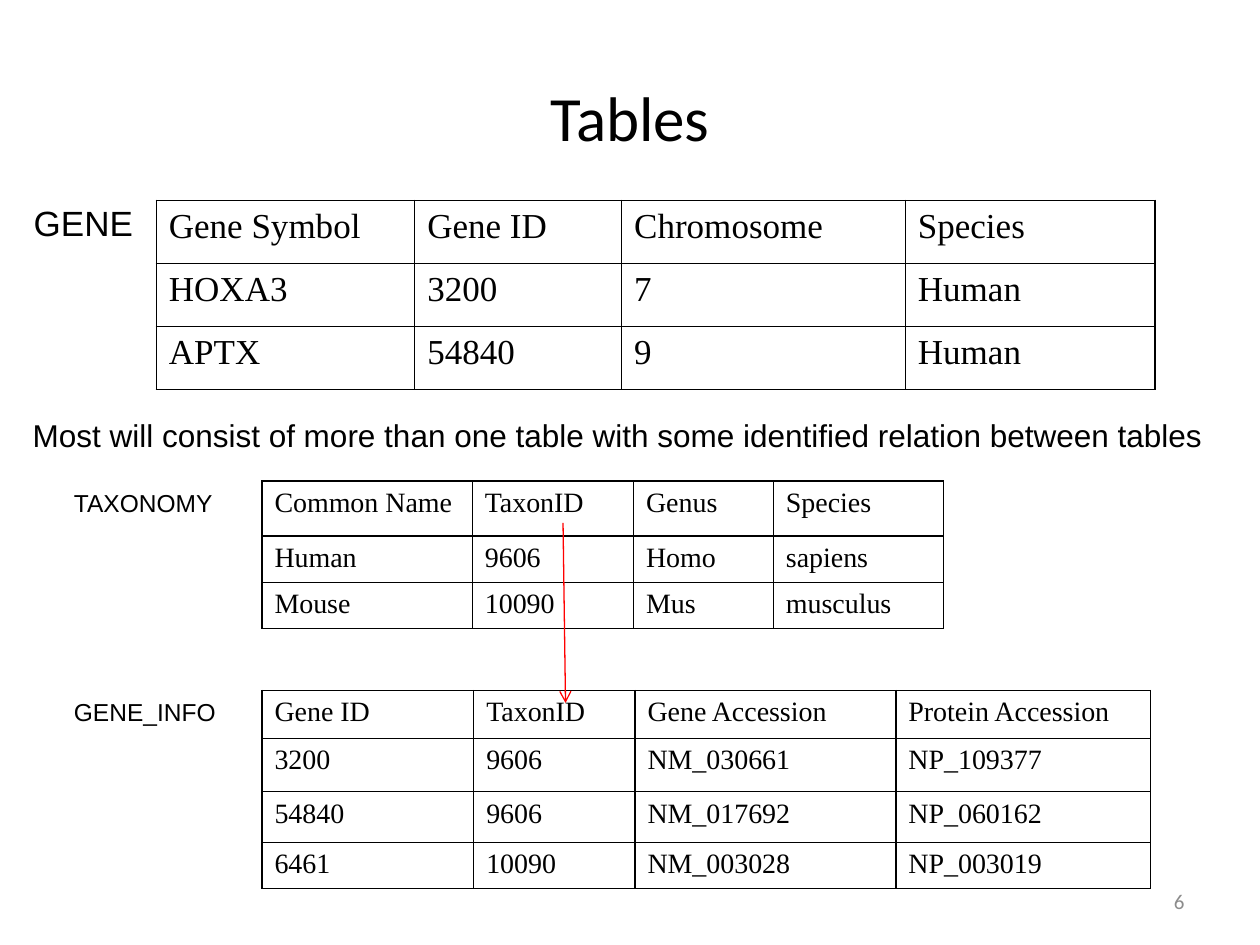
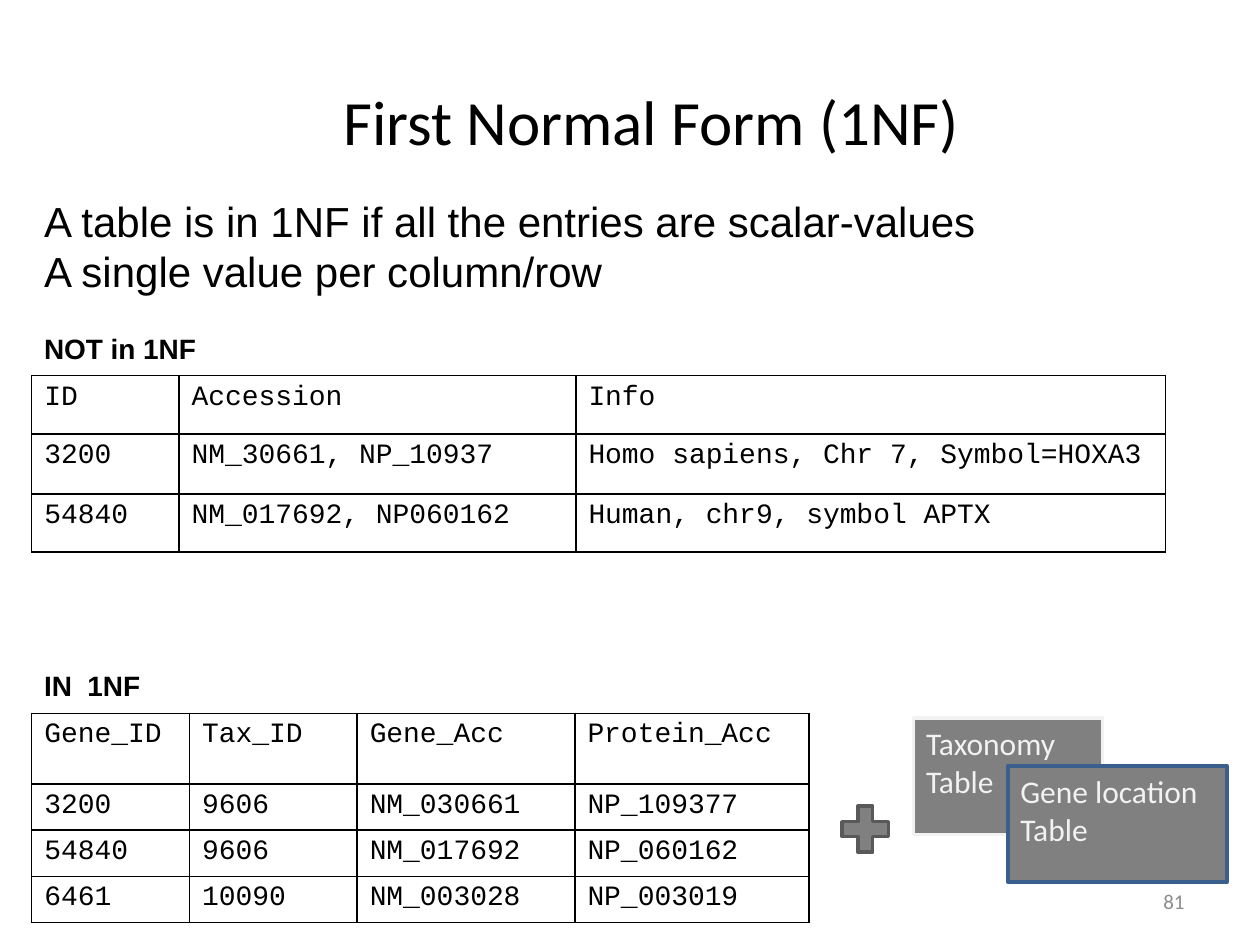
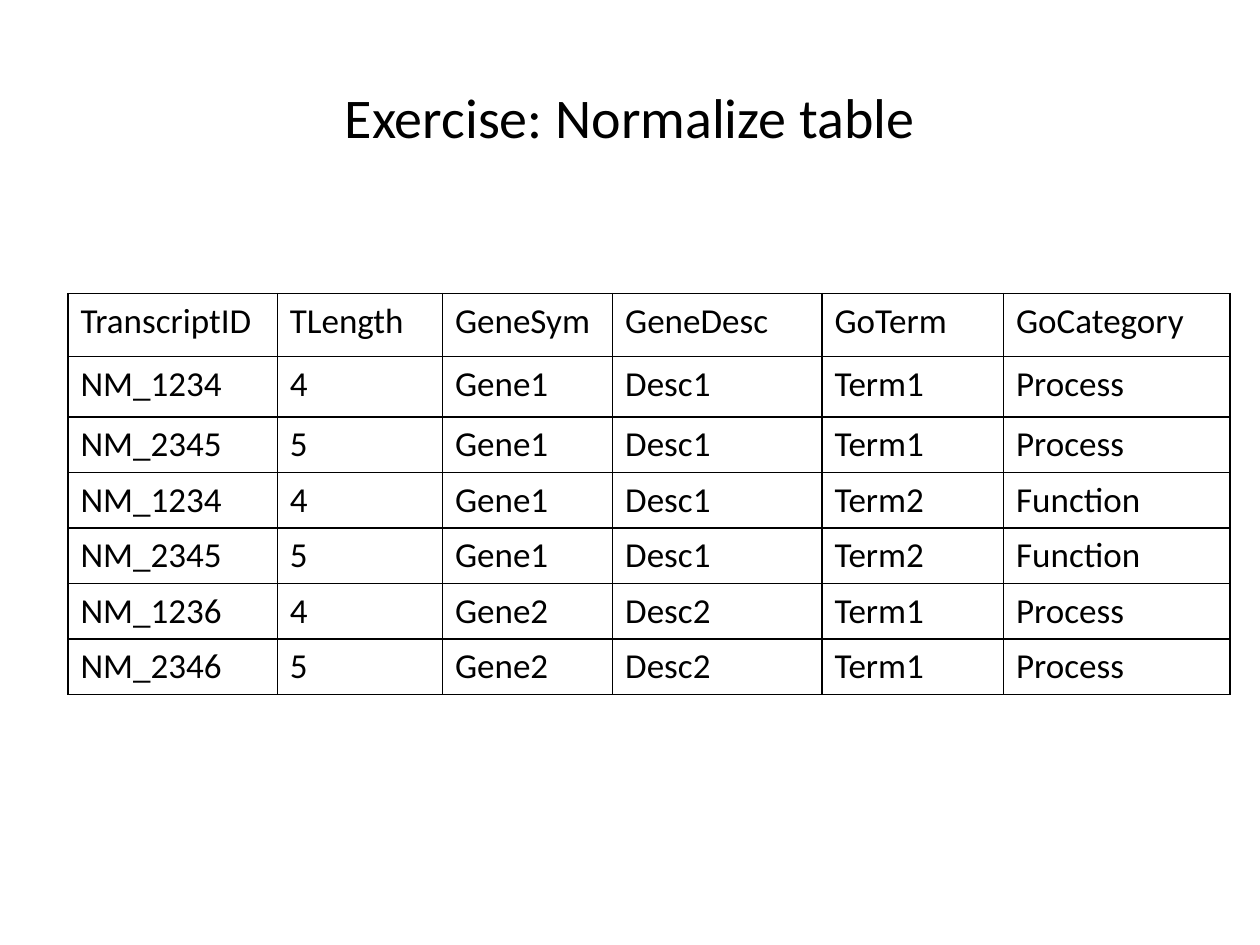
import pptx
import pptx.dml.color
import pptx.enum.shapes
import pptx.enum.text
import pptx.oxml
import pptx.oxml.ns
import pptx.util
from pptx.util import Cm

SHAPE = pptx.enum.shapes.MSO_SHAPE
ALIGN = pptx.enum.text.PP_ALIGN
ANCHOR = pptx.enum.text.MSO_ANCHOR

COLORS = {
    "black": "000000",
    "number": "8C8C8C",
    "arrow": "FF0000",
    "card": "808080",
    "pale": "F2F2F2",
    "blue": "3A5F8C",
    "dark": "595959",
}

GENE_ROWS = [
    ("3200", "9606", "NM_030661", "NP_109377"),
    ("54840", "9606", "NM_017692", "NP_060162"),
    ("6461", "10090", "NM_003028", "NP_003019"),
]

# All places and sizes are in centimetres: left, top, width, height.
TITLE_SIZE = (22.86, 3.18)
NUMBER_PLACE = (18.21, 17.65, 5.92, 1.02)

SLIDES = [
    {
        "title": ("Tables", 36, (1.27, 0.76)),
        "number": "6",
        "labels": [
            {"lines": ["GENE"], "place": (0.43, 3.94, 2.51, 1.09), "size": 20},
            {"lines": ["Most will consist of more than one table with some identified "
                       "relation between tables"],
             "place": (0.41, 8.26, 24.1, 1.02), "size": 18, "wrap": True},
            {"lines": ["TAXONOMY"], "place": (1.24, 9.7, 3.33, 0.86), "size": 14},
            {"lines": ["GENE_INFO"], "place": (1.24, 13.92, 3.4, 0.86), "size": 14},
        ],
        "tables": [
            {"corner": (3.15, 4.04), "font": ("Times New Roman", 20),
             "widths": [5.21, 4.17, 5.72, 5.03], "heights": [1.27] * 3,
             "rows": [("Gene Symbol", "Gene ID", "Chromosome", "Species"),
                      ("HOXA3", "3200", "7", "Human"),
                      ("APTX", "54840", "9", "Human")]},
            {"corner": (5.28, 9.7), "font": ("Times New Roman", 16),
             "widths": [4.24, 3.25, 2.82, 3.43], "heights": [1.11, 0.93, 0.93],
             "rows": [("Common Name", "TaxonID", "Genus", "Species"),
                      ("Human", "9606", "Homo", "sapiens"),
                      ("Mouse", "10090", "Mus", "musculus")]},
            {"corner": (5.28, 13.92), "font": ("Times New Roman", 16),
             "widths": [4.27, 3.25, 5.26, 5.13], "heights": [0.97, 1.07, 1.02, 0.93],
             "rows": [("Gene ID", "TaxonID", "Gene Accession", "Protein Accession"),
                      *GENE_ROWS]},
        ],
        "arrows": [(11.35, 10.54, 11.4, 14.17)],
    },
    {
        "title": ("First Normal Form (1NF)", 36, (1.7, 0.84)),
        "number": "81",
        "labels": [
            {"lines": ["NOT in 1NF"], "place": (0.64, 6.55, 3.58, 0.94),
             "size": 16, "bold": True},
            {"lines": ["IN  1NF"], "place": (0.64, 13.34, 2.46, 0.94),
             "size": 16, "bold": True},
            {"lines": ["A table is in 1NF if all the entries are scalar-values",
                       "A single value per column/row"],
             "place": (0.64, 3.81, 23.93, 2.31), "size": 24, "wrap": True,
             "anchor": ANCHOR.TOP},
        ],
        "tables": [
            {"corner": (0.64, 7.57), "font": ("Courier New", 16),
             "widths": [2.97, 8, 11.89], "heights": [1.18, 1.21, 1.17],
             "rows": [("ID", "Accession", "Info"),
                      ("3200", "NM_30661, NP_10937", "Homo sapiens, Chr 7, Symbol=HOXA3"),
                      ("54840", "NM_017692, NP060162", "Human, chr9, symbol APTX")]},
            {"corner": (0.64, 14.38), "font": ("Courier New", 16),
             "widths": [3.18, 3.38, 4.39, 4.72], "heights": [1.42] + [0.93] * 3,
             "rows": [("Gene_ID", "Tax_ID", "Gene_Acc", "Protein_Acc"), *GENE_ROWS]},
        ],
        "shapes": [
            (SHAPE.RECTANGLE, (18.42, 14.48, 3.81, 2.34), "pale", "Taxonomy Table"),
            (SHAPE.RECTANGLE, (20.32, 15.44, 4.42, 2.34), "blue", "Gene location Table"),
            (SHAPE.MATH_PLUS, (16.81, 16.08, 1.27, 1.27), "dark", ""),
        ],
    },
    {
        "title": ("Exercise: Normalize table", 32, (1.27, 0.76)),
        "tables": [
            {"corner": (1.37, 5.92), "font": ("Calibri", 20),
             "widths": [4.22, 3.33, 3.43, 4.22, 3.66, 4.57],
             "heights": [1.27, 1.22] + [1.1] * 5,
             "rows": [
                 ("TranscriptID", "TLength", "GeneSym", "GeneDesc", "GoTerm", "GoCategory"),
                 ("NM_1234", "4", "Gene1", "Desc1", "Term1", "Process"),
                 ("NM_2345", "5", "Gene1", "Desc1", "Term1", "Process"),
                 ("NM_1234", "4", "Gene1", "Desc1", "Term2", "Function"),
                 ("NM_2345", "5", "Gene1", "Desc1", "Term2", "Function"),
                 ("NM_1236", "4", "Gene2", "Desc2", "Term1", "Process"),
                 ("NM_2346", "5", "Gene2", "Desc2", "Term1", "Process"),
             ]},
        ],
    },
]


def lengths(numbers):
    return [Cm(number) for number in numbers]


def rgb(name):
    return pptx.dml.color.RGBColor.from_string(COLORS[name])


def fill_text(frame, lines, size, font="Arial", color="black", bold=False, align=ALIGN.LEFT):
    for index, line in enumerate(lines):
        para = frame.add_paragraph() if index else frame.paragraphs[0]
        para.text = line
        para.alignment = align
        para.font.name = font
        para.font.size = pptx.util.Pt(size)
        para.font.bold = bold
        para.font.color.rgb = rgb(color)


def add_text(page, lines, place, size, wrap=False, anchor=ANCHOR.MIDDLE, **style):
    frame = page.shapes.add_textbox(*lengths(place)).text_frame
    frame.word_wrap = wrap
    frame.vertical_anchor = anchor
    fill_text(frame, lines, size, **style)


def add_borders(cell):
    properties = cell._tc.get_or_add_tcPr()
    for side in ("lnL", "lnR", "lnT", "lnB"):
        properties.append(pptx.oxml.parse_xml(
            f'<a:{side} {pptx.oxml.ns.nsdecls("a")} w="12700"><a:solidFill>'
            f'<a:srgbClr val="{COLORS["black"]}"/></a:solidFill></a:{side}>'))


def add_grid(page, corner, font, widths, heights, rows):
    size = (sum(widths), sum(heights))
    table = page.shapes.add_table(len(rows), len(widths), *lengths(corner + size)).table
    table.first_row = table.horz_banding = False
    for column, width in zip(table.columns, widths):
        column.width = Cm(width)
    for row, height, values in zip(table.rows, heights, rows):
        row.height = Cm(height)
        for cell, value in zip(row.cells, values):
            add_borders(cell)
            cell.fill.background()
            fill_text(cell.text_frame, [value], font[1], font[0])


def add_arrow(page, ends):
    arrow = page.shapes.add_connector(
        pptx.enum.shapes.MSO_CONNECTOR.STRAIGHT, *lengths(ends))
    arrow.line.color.rgb = rgb("arrow")
    arrow.line.width = pptx.util.Pt(0.75)
    namespace = pptx.oxml.ns.nsdecls("a")
    arrow.line._get_or_add_ln().append(
        pptx.oxml.parse_xml(f'<a:tailEnd {namespace} type="arrow"/>'))
    arrow._element.spPr.append(pptx.oxml.parse_xml(f"<a:effectLst {namespace}/>"))


def add_card(page, kind, place, outline, text):
    card = page.shapes.add_shape(kind, *lengths(place))
    card.shadow.inherit = False
    card.fill.solid()
    card.fill.fore_color.rgb = rgb("card")
    card.line.color.rgb = rgb(outline)
    card.line.width = pptx.util.Pt(2)
    if text:
        card.text_frame.word_wrap = True
        card.text_frame.vertical_anchor = ANCHOR.TOP
        fill_text(card.text_frame, [text], 18, "Calibri", "pale")


def add_page(deck, content):
    page = deck.slides.add_slide(deck.slide_layouts[6])
    for label in content.get("labels", []):
        add_text(page, **label)
    for table in content["tables"]:
        add_grid(page, **table)
    for ends in content.get("arrows", []):
        add_arrow(page, ends)
    for shape in content.get("shapes", []):
        add_card(page, *shape)
    title, size, corner = content["title"]
    add_text(page, [title], corner + TITLE_SIZE, size, wrap=True,
             font="Calibri", align=ALIGN.CENTER)
    if "number" in content:
        add_text(page, [content["number"]], NUMBER_PLACE, 12, wrap=True,
                 font="Calibri", color="number", align=ALIGN.RIGHT)


def main():
    deck = pptx.Presentation()
    deck.slide_width, deck.slide_height = Cm(25.4), Cm(19.05)
    for content in SLIDES:
        add_page(deck, content)
    deck.save("out.pptx")


if __name__ == "__main__":
    main()
